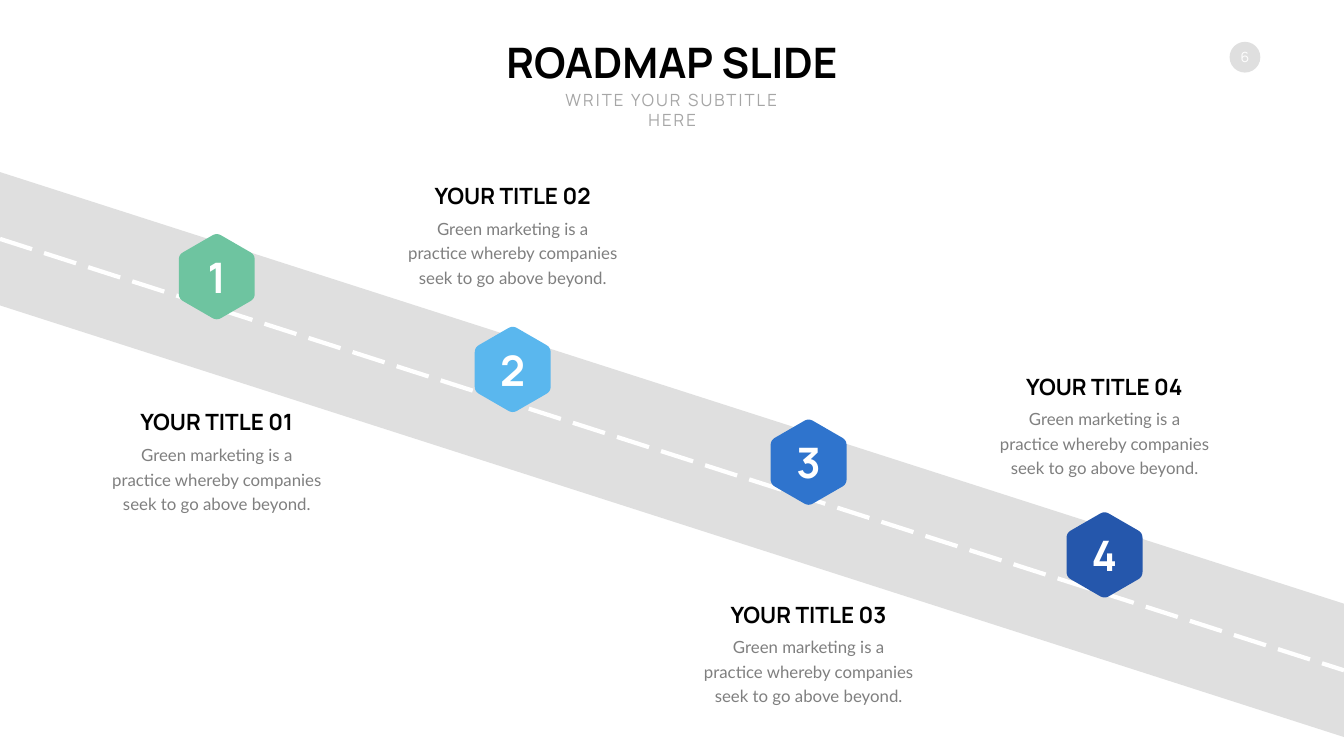
import math

from pptx import Presentation
from pptx.dml.color import RGBColor
from pptx.enum.dml import MSO_LINE
from pptx.enum.shapes import MSO_CONNECTOR, MSO_SHAPE
from pptx.enum.text import MSO_ANCHOR, MSO_AUTO_SIZE, PP_ALIGN
from pptx.oxml.ns import qn
from pptx.util import Pt
from lxml import etree

CENTER = PP_ALIGN.CENTER
TOP, MIDDLE, BOTTOM = MSO_ANCHOR.TOP, MSO_ANCHOR.MIDDLE, MSO_ANCHOR.BOTTOM
NO_AUTOFIT = MSO_AUTO_SIZE.NONE
LONG_DASH = MSO_LINE.LONG_DASH
STRAIGHT = MSO_CONNECTOR.STRAIGHT
ELLIPSE, PARALLELOGRAM = MSO_SHAPE.OVAL, MSO_SHAPE.PARALLELOGRAM

BLACK = RGBColor(0x00, 0x00, 0x00)
WHITE = RGBColor(0xFF, 0xFF, 0xFF)
ROAD_GRAY = RGBColor(0xDF, 0xDF, 0xDF)
SUBTITLE_GRAY = RGBColor(0xA6, 0xA6, 0xA6)
BODY_GRAY = RGBColor(0x7F, 0x7F, 0x7F)
GREEN = RGBColor(0x6E, 0xC4, 0xA0)
SKY = RGBColor(0x5A, 0xB7, 0xEE)
BLUE = RGBColor(0x2F, 0x74, 0xCD)
NAVY = RGBColor(0x25, 0x57, 0xAC)

HEADING_FONT, BODY_FONT = "Manrope", "Lato"
TITLE = "ROADMAP SLIDE"
SUBTITLE = "WRITE YOUR SUBTITLE HERE"
PAGE_NUMBER = "6"
DESCRIPTION = "Green marketing is a practice whereby companies seek to go above beyond."
MILESTONES = [
    ("1", "YOUR TITLE 01", GREEN, 805),
    ("2", "YOUR TITLE 02", SKY, 356),
    ("3", "YOUR TITLE 03", BLUE, 1186),
    ("4", "YOUR TITLE 04", NAVY, 734),
]

PX = 9144
WIDTH, HEIGHT = 2666, 1500
FIRST_X, FIRST_Y = 430, 549
STEP_X, STEP_Y = 587, 184
HEXAGON_RADIUS, CORNER_CUT, CORNER_STEPS = 87, 10, 6
NUMBER_WIDTH, NUMBER_HEIGHT, NUMBER_RISE = 100, 111, 55
CAPTION_WIDTH, CAPTION_TITLE_HEIGHT, CAPTION_BODY_HEIGHT = 436, 64, 152


def px(*lengths):
    return [round(length * PX) for length in lengths]


def place(shape, left, top, width, height):
    shape.left, shape.top, shape.width, shape.height = px(left, top, width, height)
    return shape


def paint(shape, color):
    shape.shadow.inherit = False
    shape.fill.solid()
    shape.fill.fore_color.rgb = color
    shape.line.fill.background()
    return shape


def write(shape, text, size, color, font=HEADING_FONT, bold=False, anchor=TOP,
          line_spacing=1.0, letter_spacing=0, side_inset=10, end_inset=5):
    frame = shape.text_frame
    frame.word_wrap = True
    frame.auto_size = NO_AUTOFIT
    frame.vertical_anchor = anchor
    frame.margin_left, frame.margin_right = px(side_inset, side_inset)
    frame.margin_top, frame.margin_bottom = px(end_inset, end_inset)
    paragraph = frame.paragraphs[0]
    paragraph.alignment = CENTER
    paragraph.line_spacing = line_spacing
    paragraph.space_before = Pt(0)
    run = paragraph.add_run()
    run.text = text
    run.font.name, run.font.size, run.font.bold = font, Pt(size), bold
    run.font.color.rgb = color
    if letter_spacing:
        run.font._element.set("spc", str(letter_spacing * 100))


def add_text(slide, box, text, **style):
    write(slide.shapes.add_textbox(*px(*box)), text, **style)


def hexagon_outline(center_x, center_y):
    corners = [
        (center_x + HEXAGON_RADIUS * math.sin(math.radians(60 * index)),
         center_y - HEXAGON_RADIUS * math.cos(math.radians(60 * index)))
        for index in range(6)
    ]
    cut = CORNER_CUT / HEXAGON_RADIUS
    outline = []
    for index, corner in enumerate(corners):
        before, after = corners[index - 1], corners[(index + 1) % 6]
        for step in range(CORNER_STEPS + 1):
            t = step / CORNER_STEPS
            outline.append(px(*(
                c + cut * ((1 - t) ** 2 * (b - c) + t ** 2 * (a - c))
                for b, c, a in zip(before, corner, after)
            )))
    return outline


def add_road(slide):
    road = paint(slide.shapes.add_shape(PARALLELOGRAM, *px(773, -431, 1121, WIDTH)), ROAD_GRAY)
    road.rotation = 270
    road.adjustments[0] = 0.764
    lane = slide.shapes.add_connector(STRAIGHT, *px(0, 474, WIDTH, 1330))
    lane.line.color.rgb = WHITE
    lane.line.width = Pt(6)
    lane.line.dash_style = LONG_DASH
    etree.SubElement(lane._element.spPr, qn("a:effectLst"))


def add_milestone(slide, index, number, title, color, caption_top):
    center_x, center_y = FIRST_X + index * STEP_X, FIRST_Y + index * STEP_Y
    outline = hexagon_outline(center_x, center_y)
    builder = slide.shapes.build_freeform(*outline[0], scale=1.0)
    builder.add_line_segments(outline[1:], close=True)
    paint(builder.convert_to_shape(), color)
    add_text(slide, (center_x - NUMBER_WIDTH / 2, center_y - NUMBER_RISE, NUMBER_WIDTH, NUMBER_HEIGHT),
             number, size=60, color=WHITE, bold=True)
    caption_left = center_x - CAPTION_WIDTH / 2
    add_text(slide, (caption_left, caption_top, CAPTION_WIDTH, CAPTION_TITLE_HEIGHT),
             title, size=32, color=BLACK, bold=True, anchor=BOTTOM)
    add_text(slide, (caption_left, caption_top + CAPTION_TITLE_HEIGHT, CAPTION_WIDTH, CAPTION_BODY_HEIGHT),
             DESCRIPTION, size=24, color=BODY_GRAY, font=BODY_FONT, line_spacing=Pt(35))


def main():
    presentation = Presentation()
    presentation.slide_width, presentation.slide_height = px(WIDTH, HEIGHT)
    slide = presentation.slides.add_slide(presentation.slide_layouts[0])
    title, subtitle = slide.placeholders
    write(place(title, 984, 67, 698, 111), TITLE, size=60, color=BLACK, bold=True)
    write(place(subtitle, 1062, 172, 543, 100), SUBTITLE, size=24, color=SUBTITLE_GRAY,
          letter_spacing=3, side_inset=20)
    badge = paint(slide.shapes.add_shape(ELLIPSE, *px(2439, 83, 61, 61)), ROAD_GRAY)
    write(badge, PAGE_NUMBER, size=20, color=WHITE, anchor=MIDDLE)
    add_road(slide)
    for index, milestone in enumerate(MILESTONES):
        add_milestone(slide, index, *milestone)
    presentation.save("out.pptx")


if __name__ == "__main__":
    main()
